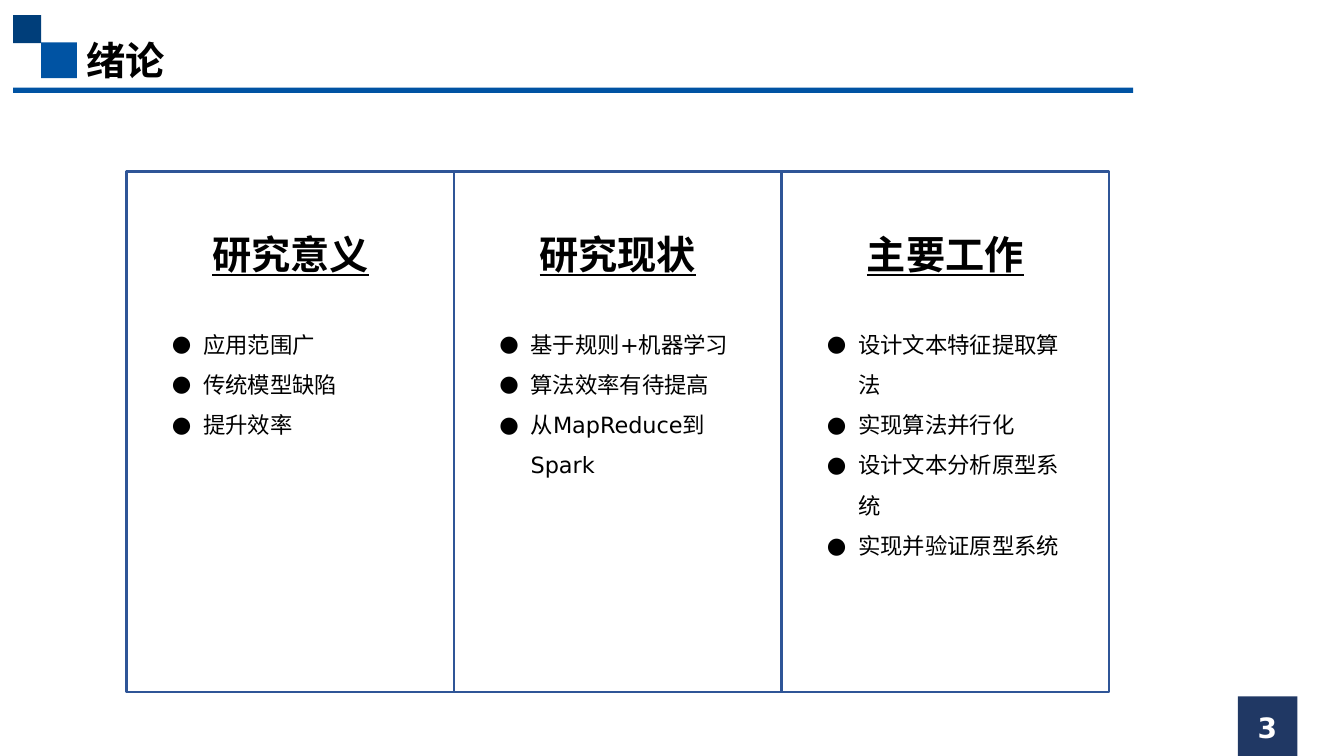
from pptx import Presentation
from pptx.dml.color import RGBColor as Color
from pptx.enum.shapes import MSO_SHAPE as Shape
from pptx.enum.text import MSO_ANCHOR as Anchor, MSO_AUTO_SIZE as AutoSize, PP_ALIGN as Align
from pptx.oxml.ns import qn
from pptx.util import Cm, Pt

COLORS = {
    "blue": "0053A3",
    "deep_blue": "003E7A",
    "navy": "203864",
    "border": "2F5597",
    "white": "FFFFFF",
    "black": "000000",
}
SANS = "DejaVu Sans"
SERIF = "Times New Roman"
CHINESE = "Noto Sans CJK SC"

PANEL_LEFT, PANEL_TOP = 3.19, 4.33
PANEL_WIDTH, PANEL_HEIGHT = 8.25, 13.11
PANELS = [
    ("研究意义", ["应用范围广", "传统模型缺陷", "提升效率"]),
    ("研究现状", ["基于规则+机器学习", "算法效率有待提高", "从MapReduce到Spark"]),
    ("主要工作", ["设计文本特征提取算法", "实现算法并行化",
              "设计文本分析原型系统", "实现并验证原型系统"]),
]


def color(name):
    return Color.from_string(COLORS[name])


def add_rectangle(page, left, top, width, height, fill, line=None):
    box = page.shapes.add_shape(Shape.RECTANGLE, Cm(left), Cm(top), Cm(width), Cm(height))
    box.shadow.inherit = False
    box.fill.solid()
    box.fill.fore_color.rgb = color(fill)
    if line:
        box.line.color.rgb = color(line)
        box.line.width = Pt(2)
    else:
        box.line.fill.background()


def add_text_frame(page, left, top, width, height):
    box = page.shapes.add_textbox(Cm(left), Cm(top), Cm(width), Cm(height))
    box.text_frame.word_wrap = True
    return box.text_frame


def add_run(para, text, size, font, fill="black", bold=False, underline=False):
    run = para.add_run()
    run.text = text
    run.font.size = Pt(size)
    run.font.name = font
    run.font.bold = bold
    run.font.underline = underline
    run.font.color.rgb = color(fill)
    east_asian = run.font._element.makeelement(qn("a:ea"), {"typeface": CHINESE})
    run.font._element.find(qn("a:latin")).addnext(east_asian)


def add_bullet(para):
    properties = para._p.get_or_add_pPr()
    properties.set("marL", str(Cm(0.79)))
    properties.set("indent", str(Cm(-0.79)))
    for tag, attributes in (("a:buFont", {"typeface": SANS}), ("a:buChar", {"char": "●"})):
        properties.append(properties.makeelement(qn(tag), attributes))


def set_title(page, text):
    title = page.shapes.title
    title.left, title.top, title.width, title.height = Cm(1.93), Cm(0.79), Cm(15), Cm(1.45)
    frame = title.text_frame
    frame.auto_size = AutoSize.NONE
    frame.vertical_anchor = Anchor.TOP
    para = frame.paragraphs[0]
    para.alignment = Align.LEFT
    add_run(para, text, 28, CHINESE, bold=True)


def add_header(page):
    add_rectangle(page, 1.04, 1.07, 0.9, 0.9, "blue")
    add_rectangle(page, 0.33, 0.38, 0.71, 0.71, "deep_blue")
    add_rectangle(page, 0.33, 2.21, 28.22, 0.13, "blue")
    set_title(page, "绪论")


def add_page_number(page, number):
    add_rectangle(page, 31.19, 17.55, 1.5, 1.5, "navy")
    frame = add_text_frame(page, 30, 17.81, 3.86, 1.02)
    frame.vertical_anchor = Anchor.MIDDLE
    para = frame.paragraphs[0]
    para.alignment = Align.CENTER
    add_run(para, number, 20, SANS, fill="white", bold=True)


def add_panel(page, left, heading, points):
    add_rectangle(page, left, PANEL_TOP, PANEL_WIDTH, PANEL_HEIGHT, "white", "border")

    para = add_text_frame(page, left, 5.08, PANEL_WIDTH, 1.83).paragraphs[0]
    para.alignment = Align.CENTER
    para.line_spacing = 1.5
    add_run(para, heading, 28, SERIF, bold=True, underline=True)

    frame = add_text_frame(page, left + 0.89, 7.87, 6.73, 6.4)
    for index, point in enumerate(points):
        para = frame.add_paragraph() if index else frame.paragraphs[0]
        para.line_spacing = 1.5
        add_bullet(para)
        add_run(para, point, 16, SANS)


def main():
    deck = Presentation()
    deck.slide_width, deck.slide_height = Cm(33.86), Cm(19.05)
    page = deck.slides.add_slide(deck.slide_layouts[5])
    add_header(page)
    add_page_number(page, "3")
    for index, (heading, points) in enumerate(PANELS):
        add_panel(page, PANEL_LEFT + index * PANEL_WIDTH, heading, points)
    deck.save("out.pptx")


if __name__ == "__main__":
    main()
